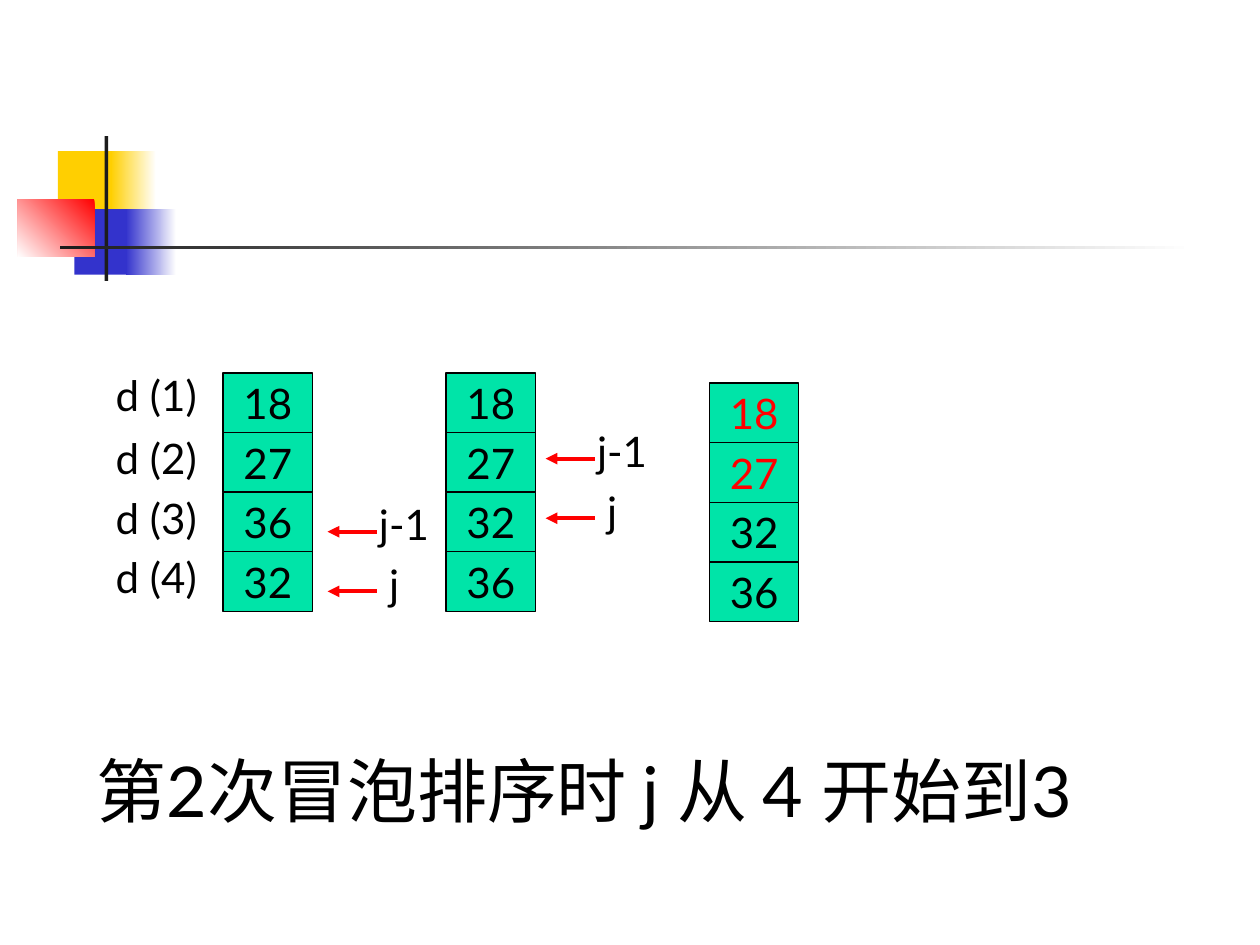
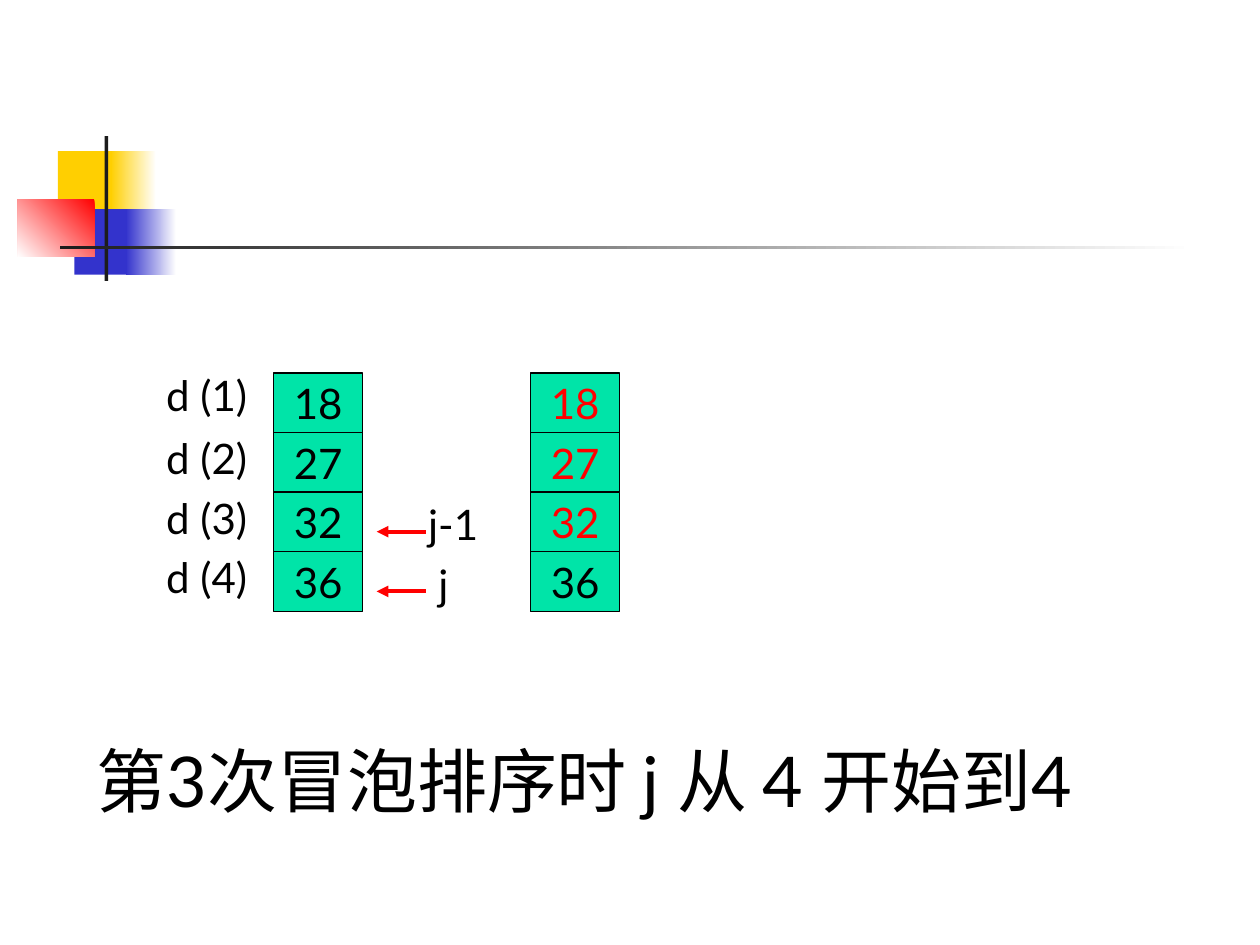
from pptx import Presentation
from pptx.dml.color import RGBColor
from pptx.enum.shapes import MSO_CONNECTOR, MSO_SHAPE
from pptx.enum.text import MSO_ANCHOR, PP_ALIGN
from pptx.oxml.ns import qn
from pptx.util import Inches, Pt
from lxml.etree import SubElement

FONT = "Lato"
BLACK, RED, WHITE, GREEN = "000000", "FF0000", "FFFFFF", "00E4A8"
YELLOW, BLUE, DARK = "FFCF01", "3333CC", "1C1C1C"
CELL_W, CELL_H = 0.71, 1.42 / 3
ARROW_W = 0.39

BANDS = [
    (0.46, 1.2, 0.48, 0.52, [YELLOW], 0),
    (0.88, 1.2, 0.36, 0.52, [WHITE, YELLOW], 180),
    (0.59, 1.66, 0.46, 0.52, [BLUE], 0),
    (1, 1.66, 0.4, 0.52, [WHITE, BLUE], 180),
    (0.14, 1.58, 0.61, 0.46, [RED, WHITE], 225),
    (0.83, 1.08, 0.03, 1.15, [DARK], 0),
    (0.48, 1.95, 9, 0.03, [WHITE, DARK], 180),
]
LABEL_TOPS = [2.88, 3.38, 3.86, 4.33]

SLIDES = [
    {
        "title": "第2次冒泡排序时 j 从 4 开始到3",
        "title_top": 5.4,
        "columns": [
            (1.77, 2.96, [18, 27, 36, 32], 0),
            (3.54, 2.96, [18, 27, 32, 36], 0),
            (5.63, 3.04, [18, 27, 32, 36], 2),
        ],
        "pointers": [(2.6, 3.91), (4.33, 3.33)],
    },
    {
        "title": "第3次冒泡排序时 j 从 4 开始到4",
        "title_top": 5.32,
        "columns": [
            (2.17, 2.96, [18, 27, 32, 36], 0),
            (4.21, 2.96, [18, 27, 32, 36], 3),
        ],
        "pointers": [(2.99, 3.91)],
    },
]


def rgb(color):
    return RGBColor.from_string(color)


def add_text(s, text, x, y, w, h, size=24, anchor=MSO_ANCHOR.TOP):
    tf = s.shapes.add_textbox(Inches(x), Inches(y), Inches(w), Inches(h)).text_frame
    tf.word_wrap = True
    tf.vertical_anchor = anchor
    p = tf.paragraphs[0]
    p.text = text
    p.font.name, p.font.size = FONT, Pt(size)
    p.font.color.rgb = rgb(BLACK)


prs = Presentation()
prs.slide_width, prs.slide_height = Inches(10), Inches(7.5)

for page in SLIDES:
    s = prs.slides.add_slide(prs.slide_layouts[6])

    for x, y, w, h, colors, angle in BANDS:
        sp = s.shapes.add_shape(MSO_SHAPE.RECTANGLE, Inches(x), Inches(y), Inches(w), Inches(h))
        sp.shadow.inherit = False
        sp.line.fill.background()
        if len(colors) == 1:
            sp.fill.solid()
            sp.fill.fore_color.rgb = rgb(colors[0])
        else:
            sp.fill.gradient()
            sp.fill.gradient_angle = angle
            for stop, color in zip(sp.fill.gradient_stops, colors):
                stop.color.rgb = rgb(color)

    add_text(s, page["title"], 0.67, page["title_top"], 8.52, 1.25, 40, MSO_ANCHOR.BOTTOM)

    for x, top, values, sorted_count in page["columns"]:
        for i, value in enumerate(values):
            sp = s.shapes.add_shape(MSO_SHAPE.RECTANGLE, Inches(x), Inches(top + i * CELL_H),
                                    Inches(CELL_W), Inches(CELL_H))
            sp.shadow.inherit = False
            sp.fill.solid()
            sp.fill.fore_color.rgb = rgb(GREEN)
            sp.line.color.rgb = rgb(BLACK)
            sp.line.width = Pt(0.75)
            tf = sp.text_frame
            tf.word_wrap = False
            tf.vertical_anchor = MSO_ANCHOR.MIDDLE
            p = tf.paragraphs[0]
            p.text = str(value)
            p.alignment = PP_ALIGN.CENTER
            p.font.name, p.font.size = FONT, Pt(24)
            p.font.color.rgb = rgb(RED if i < sorted_count else BLACK)

    label_x = page["columns"][0][0] - 0.95
    for i, top in enumerate(LABEL_TOPS, 1):
        add_text(s, f"d ({i})", label_x, top, 0.87, 0.5)

    for tip, top in page["pointers"]:
        end = tip + ARROW_W
        for name, x, y, w in [("j-1", end - 0.08, top, 0.63), ("j", end, top + CELL_H, 0.31)]:
            add_text(s, name, x, y, w, 0.5)
            arrow_y = Inches(y + 0.31)
            arrow = s.shapes.add_connector(MSO_CONNECTOR.STRAIGHT, Inches(end), arrow_y,
                                           Inches(tip), arrow_y)
            arrow.line.color.rgb = rgb(RED)
            arrow.line.width = Pt(2.25)
            SubElement(arrow.line._get_or_add_ln(), qn("a:tailEnd"), type="triangle")
            SubElement(arrow._element.spPr, qn("a:effectLst"))

prs.save("out.pptx")
